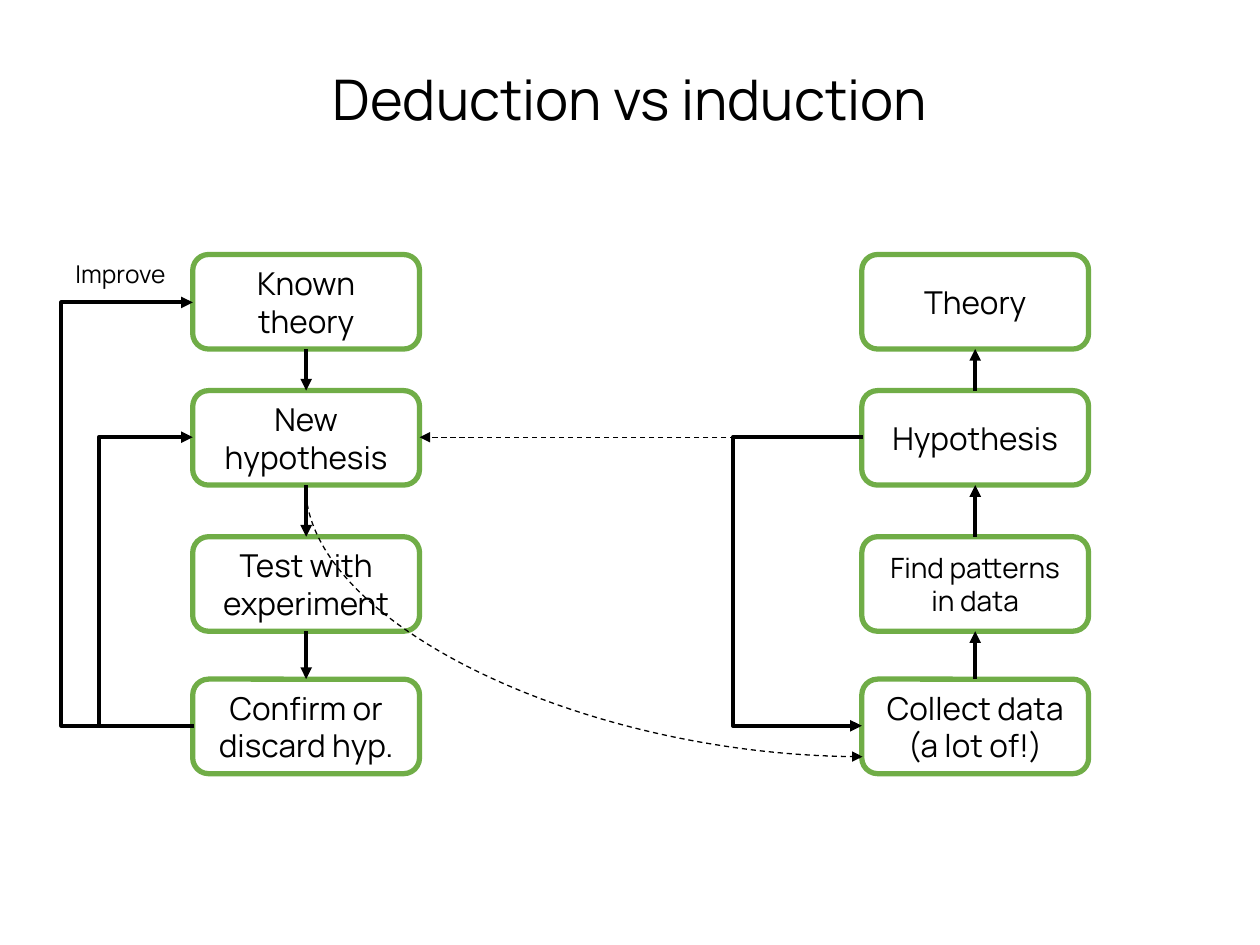
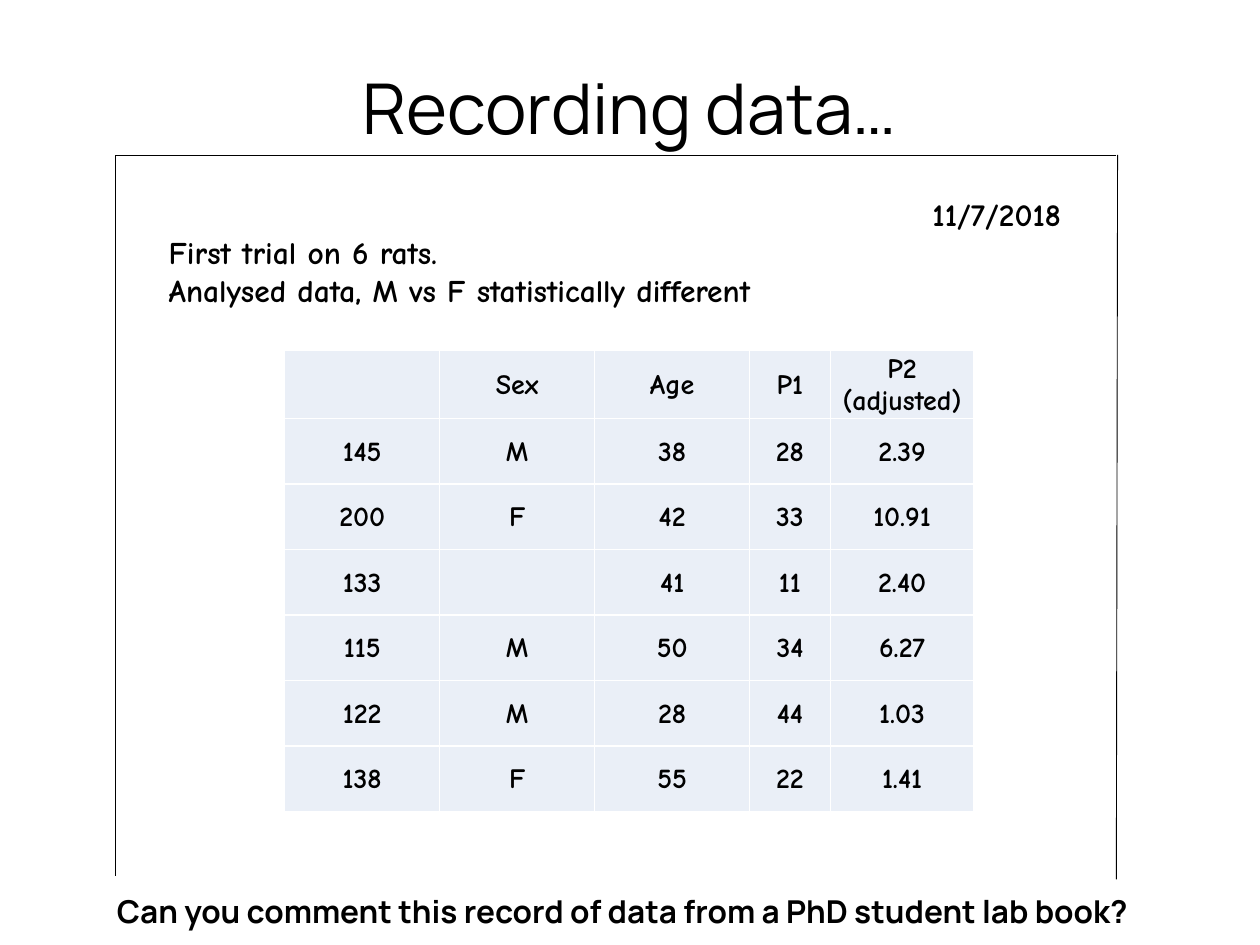
import pptx
import pptx.util
import pptx.dml.color
import pptx.enum.dml
import pptx.enum.shapes
import pptx.enum.text
import pptx.oxml.ns
from lxml import etree

Inches, Pt = pptx.util.Inches, pptx.util.Pt
RGBColor = pptx.dml.color.RGBColor
Align = pptx.enum.text.PP_ALIGN
Middle = pptx.enum.text.MSO_ANCHOR.MIDDLE
Kind = pptx.enum.shapes.MSO_CONNECTOR
qn = pptx.oxml.ns.qn

BLACK = RGBColor(0x00, 0x00, 0x00)
WHITE = RGBColor(0xFF, 0xFF, 0xFF)
GREEN = RGBColor(0x70, 0xAD, 0x47)
PALE = RGBColor(0xEA, 0xEF, 0xF7)
MAIN, HAND = "Manrope", "Comic Neue"


def write(frame, lines, size, font=MAIN, bold=False):
    """Fill a text frame with (text, alignment) lines."""
    for i, (text, align) in enumerate(lines):
        para = frame.add_paragraph() if i else frame.paragraphs[0]
        para.alignment = align
        run = para.add_run()
        run.text = text
        run.font.size, run.font.name, run.font.bold = Pt(size), font, bold
        run.font.color.rgb = BLACK


def link(slide, kind, start, end, width, turn=0, head=True, dash=False):
    """Draw a connector; turn is its rotation in degrees."""
    line = slide.shapes.add_connector(kind, *map(Inches, start + end))
    line.line.width = Pt(width)
    line.line.color.rgb = BLACK
    if dash:
        line.line.dash_style = pptx.enum.dml.MSO_LINE.DASH
    props = line._element.spPr
    if head:
        etree.SubElement(props.find(qn("a:ln")), qn("a:tailEnd"), type="triangle")
    etree.SubElement(props, qn("a:effectLst"))
    if turn:
        props.find(qn("a:xfrm")).set("rot", str(turn * 60000))
    return props.find(qn("a:prstGeom"))


deck = pptx.Presentation()
deck.slide_width, deck.slide_height = Inches(10), Inches(7.5)
flow, book = [deck.slides.add_slide(deck.slide_layouts[6]) for _ in range(2)]

# Titles and free text on both slides
texts = [
    (flow, (0.13, 0.46, 9.74, 0.64), True, 32, MAIN, False,
     [("Deduction vs induction", Align.CENTER)]),
    (flow, (0.5, 2.01, 0.95, 0.34), False, 14, MAIN, False,
     [("Improve", Align.LEFT)]),
    (book, (0.13, 0.46, 9.74, 0.77), True, 40, MAIN, False,
     [("Recording data…", Align.CENTER)]),
    (book, (1.24, 1.5, 7.28, 1.01), True, 18, HAND, True,
     [("11/7/2018", Align.RIGHT),
      ("First trial on 6 rats.", Align.LEFT),
      ("Analysed data, M vs F statistically different", Align.LEFT)]),
    (book, (0.83, 7.03, 8.33, 0.4), False, 18, MAIN, True,
     [("Can you comment this record of data from a PhD student lab book?",
       Align.LEFT)]),
]
for slide, place, wrap, size, font, bold, lines in texts:
    frame = slide.shapes.add_textbox(*map(Inches, place)).text_frame
    frame.word_wrap = wrap
    frame.auto_size = pptx.enum.text.MSO_AUTO_SIZE.SHAPE_TO_FIT_TEXT
    write(frame, lines, size, font, bold)

# Two columns of boxes with arrows down (left) and up (right)
LEFT, RIGHT, WIDE, HIGH = 1.53, 6.84, 1.8, 0.75
tops = [2.02, 3.1, 4.26, 5.39]
steps = [
    (LEFT, False, ["Known theory", "New hypothesis",
                   "Test with experiment", "Confirm or discard hyp."]),
    (RIGHT, True, ["Theory", "Hypothesis",
                   "Find patterns in data", "Collect data (a lot of!)"]),
]
for left, up, names in steps:
    for top, name in zip(tops, names):
        box = flow.shapes.add_shape(
            pptx.enum.shapes.MSO_SHAPE.FLOWCHART_ALTERNATE_PROCESS,
            *map(Inches, (left, top, WIDE, HIGH)))
        box.shadow.inherit = False
        box.fill.solid()
        box.fill.fore_color.rgb = WHITE
        box.line.color.rgb = GREEN
        box.line.width = Pt(3)
        box.text_frame.word_wrap = True
        box.text_frame.vertical_anchor = Middle
        size = 16 if name.startswith("Find") else 18
        write(box.text_frame, [(name, Align.CENTER)], size)
    mid = left + WIDE / 2
    for top, below in zip(tops, tops[1:]):
        ends = [(mid, top + HIGH), (mid, below)]
        if up:
            ends.reverse()
        link(flow, Kind.STRAIGHT, *ends, 2.25)

# Feedback loops: elbows turned by half, so the ends are given swapped
first, second, last = 2.4, 3.47, 5.76
loops = [(LEFT, last, second, 0.77), (LEFT, last, first, 0.47),
         (RIGHT, second, last, 5.8)]
for edge, begin, end, bend in loops:
    shape = link(flow, Kind.ELBOW, (edge, end), (edge + 0.01, begin), 2.25, 180)
    guides = shape.get_or_add_avLst()
    ratio = round((edge + 0.01 - bend) / 0.01 * 100000)
    etree.SubElement(guides, qn("a:gd"), name="adj1", fmla=f"val {ratio}")

# Dashed links between the columns
link(flow, Kind.CURVE, (LEFT + WIDE, second), (RIGHT, second), 0.75, 180, dash=True)
arc = link(flow, Kind.CURVE, (5.71, 2.72), (3.56, 7.14), 0.75, 270, dash=True)
arc.set("prst", "curvedConnector2")

# Table of measurements
rows = [
    ["", "Sex", "Age", "P1", "P2 (adjusted)"],
    ["145", "M", "38", "28", "2.39"],
    ["200", "F", "42", "33", "10.91"],
    ["133", "", "41", "11", "2.40"],
    ["115", "M", "50", "34", "6.27"],
    ["122", "M", "28", "44", "1.03"],
    ["138", "F", "55", "22", "1.41"],
]
table = book.shapes.add_table(
    len(rows), 5, *map(Inches, (2.26, 2.78, 5.48, 3.67))).table
table.first_row = table.horz_banding = False
for col, width in zip(table.columns, [1.23, 1.23, 1.23, 0.64, 1.14]):
    col.width = Inches(width)
for r, row in enumerate(rows):
    table.rows[r].height = Inches(0.52)
    for c, text in enumerate(row):
        cell = table.cell(r, c)
        cell.vertical_anchor = Middle
        cell.margin_left = cell.margin_right = cell.margin_top = Inches(0.01)
        cell.margin_bottom = 0
        if text:
            write(cell.text_frame, [(text, Align.CENTER)], 16, HAND, True)
        props = cell._tc.get_or_add_tcPr()
        for side in ("a:lnL", "a:lnR", "a:lnT", "a:lnB"):
            edge = etree.SubElement(props, qn(side), w=str(Pt(1)))
            fill = etree.SubElement(edge, qn("a:solidFill"))
            etree.SubElement(fill, qn("a:srgbClr"), val=str(WHITE))
        cell.fill.solid()
        cell.fill.fore_color.rgb = PALE

# Page edges of the lab book
for start, end in [((0.92, 6.95), (0.92, 1.23)), ((8.86, 6.98), (8.87, 1.23)),
                   ((8.86, 1.23), (0.92, 1.23))]:
    link(book, Kind.STRAIGHT, start, end, 0.5, head=False)

deck.save("out.pptx")
